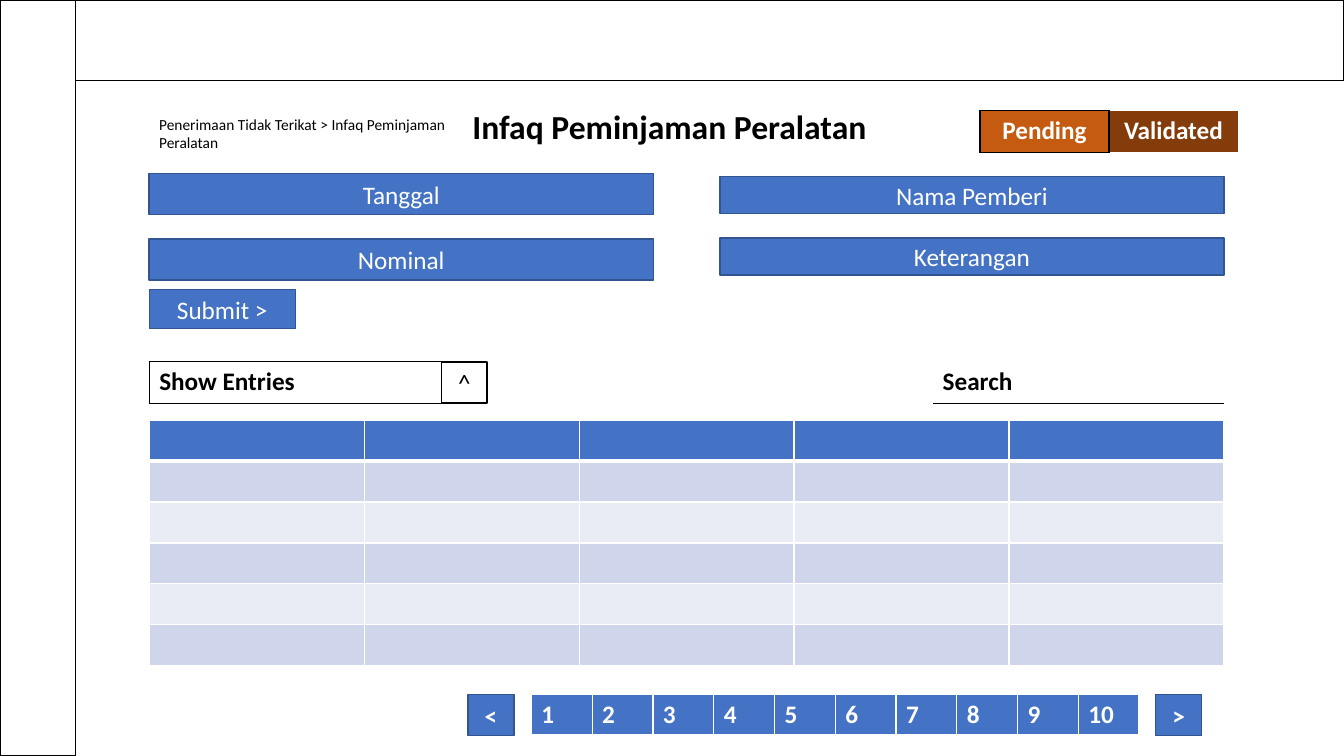
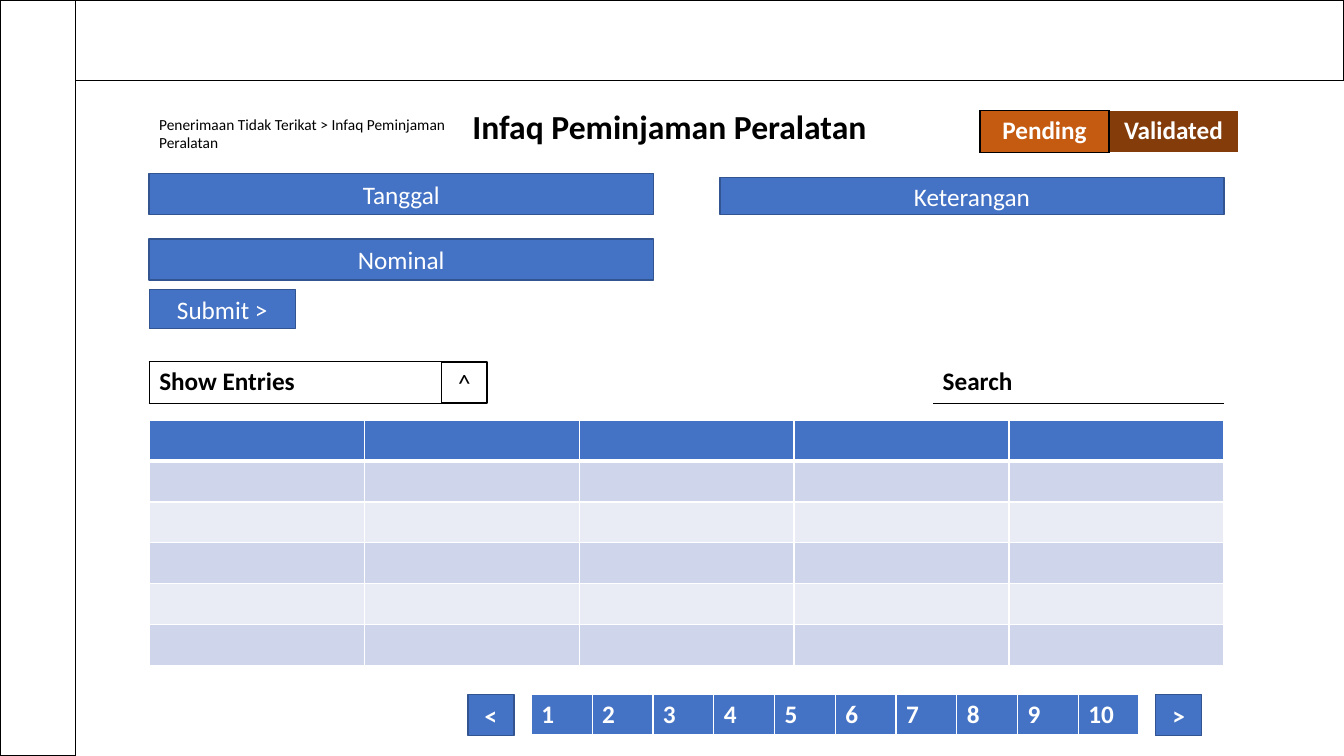
"""Build two wireframe slides for an equipment-loan donation form."""
from dataclasses import dataclass

from lxml import etree
from pptx import Presentation
from pptx.dml.color import RGBColor
from pptx.enum.shapes import MSO_SHAPE
from pptx.enum.text import MSO_ANCHOR, MSO_AUTO_SIZE, PP_ALIGN
from pptx.oxml.ns import qn
from pptx.slide import Slide
from pptx.text.text import TextFrame
from pptx.util import Pt

PX = 9144
FONT = "Calibri"
RECT = MSO_SHAPE.RECTANGLE
MIDDLE = MSO_ANCHOR.MIDDLE
GROW = MSO_AUTO_SIZE.SHAPE_TO_FIT_TEXT
LEFT, CENTER = PP_ALIGN.LEFT, PP_ALIGN.CENTER

BLACK = RGBColor(0x00, 0x00, 0x00)
WHITE = RGBColor(0xFF, 0xFF, 0xFF)
BLUE = RGBColor(0x44, 0x72, 0xC4)
DARK_BLUE = RGBColor(0x32, 0x54, 0x91)
ORANGE = RGBColor(0xC5, 0x5A, 0x11)
BROWN = RGBColor(0x84, 0x3C, 0x0B)
BAND_DARK = RGBColor(0xCF, 0xD5, 0xEA)
BAND_LIGHT = RGBColor(0xE9, 0xEB, 0xF5)

Borders = dict[str, tuple[RGBColor, int]]


def borders(color: RGBColor, **special: tuple[RGBColor, int]) -> Borders:
    return {side: (color, 1) for side in "LRTB"} | special


@dataclass(frozen=True)
class Style:
    size: int = 18
    color: RGBColor = WHITE
    bold: bool = False
    align: PP_ALIGN = CENTER


@dataclass(frozen=True)
class Box:
    x: int
    y: int
    w: int
    h: int
    text: str = ""
    style: Style = Style()
    fill: RGBColor | None = BLUE
    line: RGBColor = DARK_BLUE


@dataclass(frozen=True)
class Cell:
    borders: Borders
    text: str = ""
    fill: RGBColor | None = None


@dataclass(frozen=True)
class Grid:
    x: int
    y: int
    w: int
    h: int
    rows: list[list[Cell]]
    style: Style


BOLD_CENTER = Style(bold=True)
BOLD_LEFT = Style(bold=True, align=LEFT)
LABEL = Style(color=BLACK, bold=True, align=LEFT)
TITLE = Style(24, BLACK, True)
CRUMB = Style(11, BLACK, align=LEFT)

LEFT_X, RIGHT_X, FIELD_W = 148, 714, 500
TOOLBAR_Y, PAGER_Y, ROW_H = 359, 689, 41

TANGGAL = Box(LEFT_X, 172, FIELD_W, 41, "Tanggal")
NOMINAL = Box(LEFT_X, 237, FIELD_W, 41, "Nominal")
FORMS = [
    [TANGGAL, NOMINAL,
     Box(RIGHT_X, 175, FIELD_W, 37, "Nama Pemberi"),
     Box(RIGHT_X, 236, FIELD_W, 37, "Keterangan")],
    [TANGGAL, NOMINAL,
     Box(RIGHT_X, 176, FIELD_W, 37, "Keterangan")],
]

BOXES = [
    Box(0, 0, 1333, 80, fill=WHITE, line=BLACK),
    Box(0, 0, 75, 750, fill=WHITE, line=BLACK),
    Box(LEFT_X, 287, 145, 39, "Submit >"),
    Box(464, PAGER_Y, 46, ROW_H, "<", BOLD_CENTER),
    Box(1146, PAGER_Y, 46, ROW_H, ">", BOLD_CENTER),
    Box(438, TOOLBAR_Y, 45, ROW_H, "^", Style(color=BLACK), None, BLACK),
]

THICK = (WHITE, 3)
HEADER_EDGE = borders(WHITE, B=THICK)
ENTRY_ROWS = [[Cell(HEADER_EDGE, fill=BLUE)] * 5] + [
    [Cell(borders(WHITE, T=THICK) if i == 0 else borders(WHITE),
          fill=BAND_LIGHT if i % 2 else BAND_DARK)] * 5
    for i in range(5)
]
GRIDS = [
    Grid(972, 110, 256, ROW_H,
         [[Cell(borders(BLACK), "Pending", ORANGE),
           Cell({"L": (BLACK, 1)}, "Validated", BROWN)]], BOLD_CENTER),
    Grid(LEFT_X, 417, 1066, 243, ENTRY_ROWS, BOLD_LEFT),
    Grid(527, PAGER_Y, 603, ROW_H,
         [[Cell(HEADER_EDGE, str(n), BLUE) for n in range(1, 11)]], BOLD_LEFT),
    Grid(925, TOOLBAR_Y, 290, ROW_H,
         [[Cell(borders(WHITE, B=(BLACK, 1)), "Search")]], LABEL),
    Grid(LEFT_X, TOOLBAR_Y, 290, ROW_H,
         [[Cell(borders(BLACK), "Show Entries")]], LABEL),
]


def write(tf: TextFrame, text: str, style: Style) -> None:
    p = tf.paragraphs[0]
    p.alignment = style.align
    if not text:
        return
    r = p.add_run()
    r.text = text
    r.font.name = FONT
    r.font.size = Pt(style.size)
    r.font.bold = style.bold
    r.font.color.rgb = style.color


def paint(fill, color: RGBColor | None) -> None:
    if color is None:
        fill.background()
    else:
        fill.solid()
        fill.fore_color.rgb = color


def add_box(s: Slide, box: Box) -> None:
    sp = s.shapes.add_shape(RECT, box.x * PX, box.y * PX, box.w * PX, box.h * PX)
    sp.shadow.inherit = False
    paint(sp.fill, box.fill)
    sp.line.color.rgb = box.line
    sp.line.width = Pt(1)
    sp.text_frame.vertical_anchor = MIDDLE
    write(sp.text_frame, box.text, box.style)


def add_text(s: Slide, x: int, y: int, w: int, h: int, text: str, style: Style) -> None:
    tf = s.shapes.add_textbox(x * PX, y * PX, w * PX, h * PX).text_frame
    tf.word_wrap = True
    tf.auto_size = GROW
    write(tf, text, style)


def set_borders(cell, edges: Borders) -> None:
    tc_pr = cell._tc.get_or_add_tcPr()
    for i, side in enumerate("LRTB"):
        ln = etree.Element(qn(f"a:ln{side}"))
        if side in edges:
            color, width = edges[side]
            ln.set("w", str(Pt(width)))
            solid = etree.SubElement(ln, qn("a:solidFill"))
            etree.SubElement(solid, qn("a:srgbClr")).set("val", str(color))
        else:
            etree.SubElement(ln, qn("a:noFill"))
        tc_pr.insert(i, ln)


def add_grid(s: Slide, grid: Grid) -> None:
    n_rows, n_cols = len(grid.rows), len(grid.rows[0])
    table = s.shapes.add_table(n_rows, n_cols, grid.x * PX, grid.y * PX,
                               grid.w * PX, grid.h * PX).table
    table.first_row = table.horz_banding = False
    for i, row in enumerate(grid.rows):
        for j, item in enumerate(row):
            cell = table.cell(i, j)
            paint(cell.fill, item.fill)
            set_borders(cell, item.borders)
            write(cell.text_frame, item.text, grid.style)


def add_page(prs, fields: list[Box]) -> None:
    s = prs.slides.add_slide(prs.slide_layouts[6])
    for box in BOXES + fields:
        add_box(s, box)
    for grid in GRIDS:
        add_grid(s, grid)
    add_text(s, 398, 100, 532, 50, "Infaq Peminjaman Peralatan", TITLE)
    add_text(s, LEFT_X, 109, 315, 47,
             "Penerimaan Tidak Terikat > Infaq Peminjaman Peralatan", CRUMB)


def main() -> None:
    prs = Presentation()
    prs.slide_width, prs.slide_height = 1333 * PX, 750 * PX
    for fields in FORMS:
        add_page(prs, fields)
    prs.save("out.pptx")


if __name__ == "__main__":
    main()
